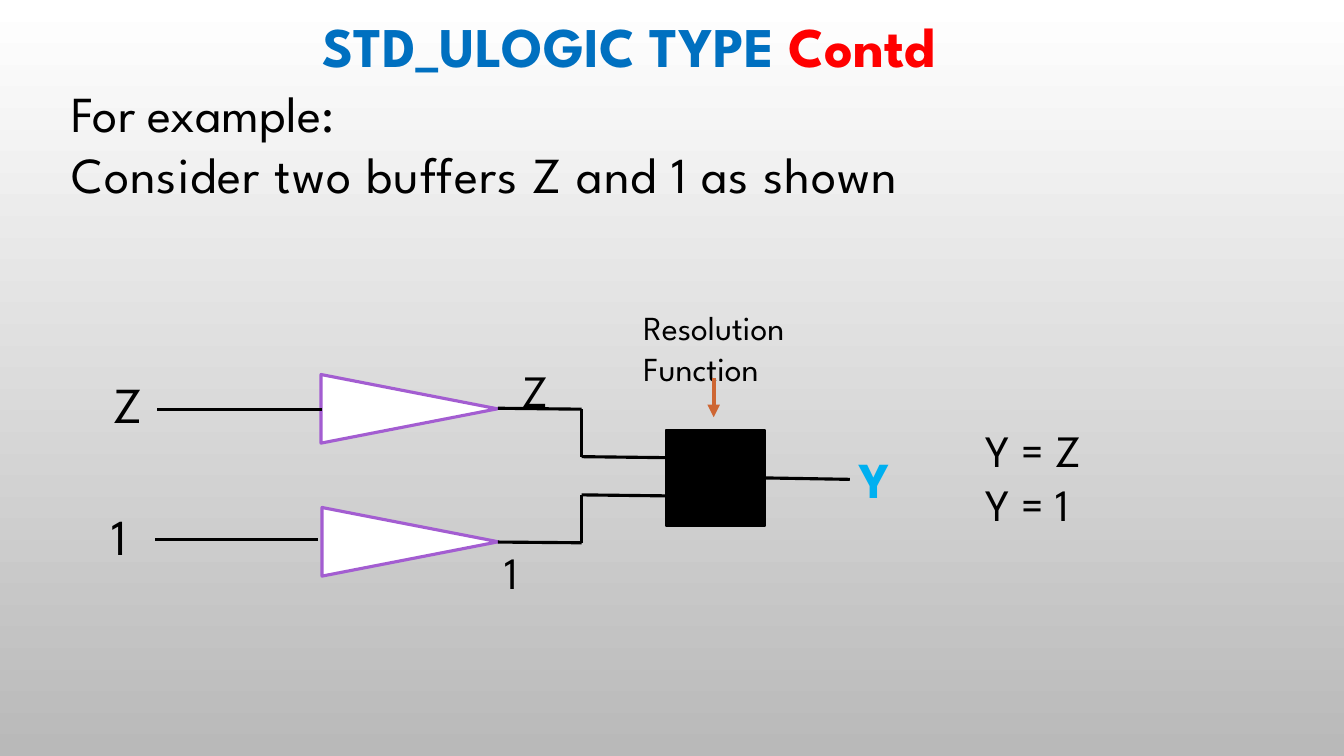
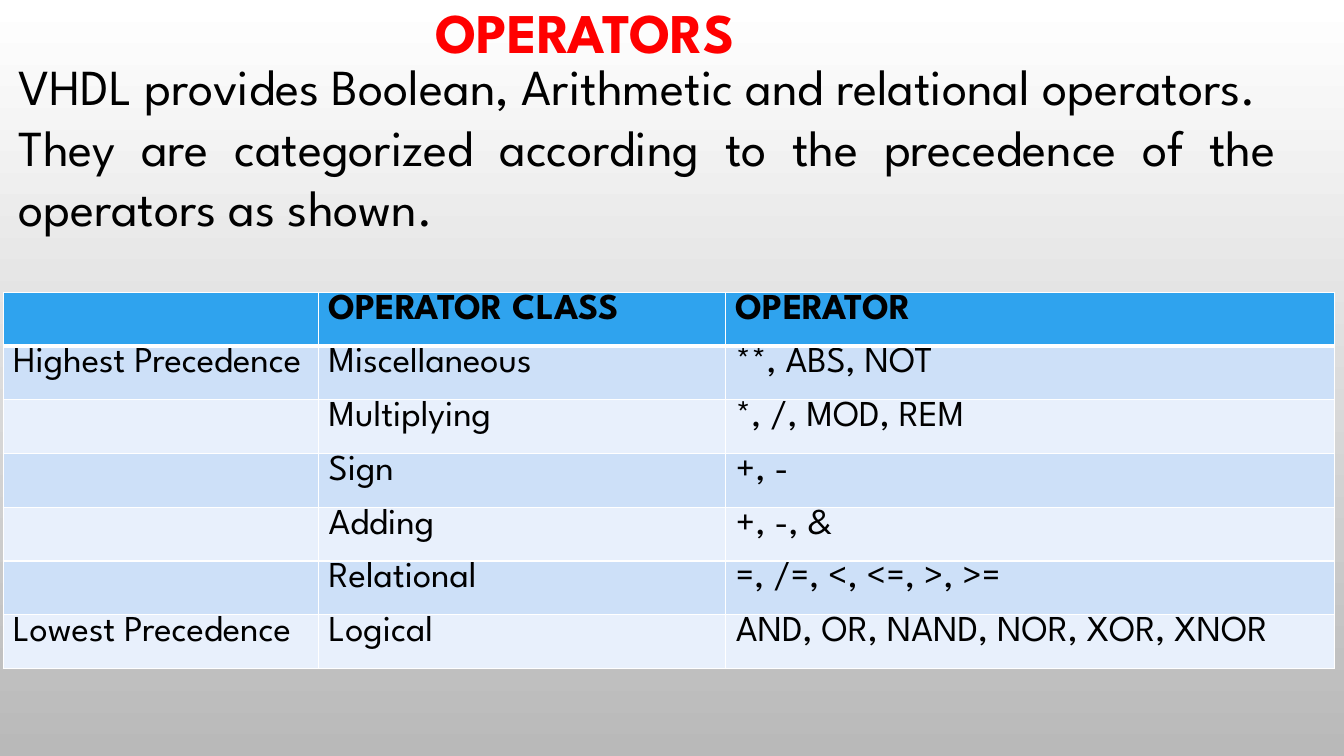
from dataclasses import dataclass
from itertools import pairwise
from lxml.etree import SubElement as Sub
from pptx import Presentation
from pptx.dml.color import RGBColor
from pptx.enum.shapes import MSO_CONNECTOR as Conn, MSO_SHAPE as Form
from pptx.enum.text import MSO_ANCHOR as Anchor, PP_ALIGN as Align
from pptx.oxml.ns import qn
from pptx.util import Pt

FONT = "League Spartan"
BLACK, WHITE, RED = "000000", "FFFFFF", "FF0000"
BLUE, SKY, PURPLE, RUST = "0070C0", "00B0F0", "A35DD1", "CE6633"
HEAD, BANDS = "2FA3EE", ("CDE0F8", "E8F0FC")


@dataclass
class Label:
    """Text in a box at a place."""
    lines: list[str]
    x: float
    y: float
    w: float
    h: float
    size: float = 36
    color: str = BLACK
    bold: bool = False


@dataclass
class Buffer:
    """Buffer triangle with its input wire and output path."""
    x: float
    y: float
    start: tuple[float, float]
    end: tuple[float, float]
    route: list[tuple[float, float]]


LABELS = [
    Label(["Z"], 74.2, 262.8, 38.2, 51),
    Label(["1"], 72.7, 357.1, 38.2, 51),
    Label(["Y"], 607, 316.3, 38.2, 51, color=SKY, bold=True),
    Label(["Z"], 365.8, 255.6, 38.2, 46, 32),
    Label(["1"], 353, 385.2, 38.2, 46, 32),
    Label(["Y = Z", "Y = 1"], 697, 298.3, 106, 85, 32),
    Label(["Resolution Function"], 452.5, 216, 141.8, 65.5, 24),
]
BUFFERS = [
    Buffer(229.3, 267.5, (112.3, 292.3), (229.7, 292.3),
           [(355.7, 291.6), (415.4, 292.3), (415.4, 326.2), (475.4, 326.9)]),
    Buffer(230, 362.5, (110.9, 385.2), (227.5, 385.2),
           [(355.7, 387.2), (415.4, 387.7), (415.4, 353.5), (475.4, 354.2)]),
]
ROWS = [
    ("", "OPERATOR CLASS", "OPERATOR"),
    ("Highest Precedence", "Miscellaneous", "**, ABS, NOT"),
    ("", "Multiplying", "*, /, MOD, REM"),
    ("", "Sign", "+, -"),
    ("", "Adding", "+, -, &"),
    ("", "Relational", "=, /=, <, <=, >, >="),
    ("Lowest Precedence", "Logical", "AND, OR, NAND, NOR, XOR, XNOR"),
]


def rgb(code: str) -> RGBColor:
    """Turn a hex string into a colour."""
    return RGBColor.from_string(code)


def style(run, size: float, color: str = BLACK, bold: bool = False) -> None:
    """Format one run."""
    font = run.font
    font.name, font.size, font.bold = FONT, Pt(size), bold
    font.color.rgb = rgb(color)


def title(slide, parts: list[tuple[str, str]], x: float, y: float, w: float) -> None:
    """Place the title and colour its parts."""
    box = slide.shapes.title
    box.left, box.top, box.width, box.height = Pt(x), Pt(y), Pt(w), Pt(58.3)
    frame = box.text_frame
    frame.word_wrap, frame.vertical_anchor = True, Anchor.TOP
    para = frame.paragraphs[0]
    para.alignment, para.line_spacing = Align.LEFT, 1.07
    for text, color in parts:
        run = para.add_run()
        run.text = text
        style(run, 40, color, True)


def write(slide, label: Label):
    """Add a text box and return its frame."""
    box = slide.shapes.add_textbox(Pt(label.x), Pt(label.y), Pt(label.w), Pt(label.h))
    frame = box.text_frame
    frame.word_wrap = True
    frame.text = "\n".join(label.lines)
    for para in frame.paragraphs:
        style(para.runs[0], label.size, label.color, label.bold)
    return frame


def body(slide, lines: list[str], y: float, h: float, left: float, right: float):
    """Add justified text across the slide."""
    frame = write(slide, Label(lines, 0, y, 960, h))
    frame.margin_left, frame.margin_right = Pt(left), Pt(right)
    for para in frame.paragraphs:
        para.alignment = Align.JUSTIFY
    return frame


def wire(slide, start: tuple[float, float], end: tuple[float, float],
         color: str = BLACK, width: float = 2.25):
    """Draw a straight line."""
    line = slide.shapes.add_connector(Conn.STRAIGHT, *map(Pt, start + end))
    line.line.color.rgb, line.line.width = rgb(color), Pt(width)
    Sub(line._element.spPr, qn("a:effectLst"))
    return line


def block(slide, form: Form, x: float, y: float, w: float, h: float,
          fill: str, edge: str, width: float):
    """Draw a filled shape."""
    shape = slide.shapes.add_shape(form, Pt(x), Pt(y), Pt(w), Pt(h))
    shape.shadow.inherit = False
    shape.fill.solid()
    shape.fill.fore_color.rgb = rgb(fill)
    shape.line.color.rgb, shape.line.width = rgb(edge), Pt(width)
    return shape


def circuit(slide) -> None:
    """Draw the two buffers and the resolver."""
    wide, tall = 126, 49
    for buf in BUFFERS:
        gate = block(slide, Form.ISOSCELES_TRIANGLE, buf.x + (wide - tall) / 2,
                     buf.y - (wide - tall) / 2, tall, wide, WHITE, PURPLE, 2.25)
        gate.rotation = 90
        wire(slide, buf.start, buf.end)
        for start, end in pairwise(buf.route):
            wire(slide, start, end)
    node = block(slide, Form.RECTANGLE, 475.9, 307, 70.6, 68.8, BLACK, BLACK, 1.25)
    wire(slide, (546.5, 341.4), (607, 342.4)).begin_connect(node, 3)
    for label in LABELS:
        write(slide, label)
    arrow = wire(slide, (509.8, 270), (509.8, 298), RUST, 3)
    Sub(arrow.line._get_or_add_ln(), qn("a:tailEnd"), type="triangle")


def border(cell, base: float) -> None:
    """Give a cell white borders."""
    props = cell._tc.get_or_add_tcPr()
    for side, width in zip("LRTB", (1, 1, 1, base)):
        edge = Sub(props, qn(f"a:ln{side}"), w=str(Pt(width)))
        Sub(Sub(edge, qn("a:solidFill")), qn("a:srgbClr"), val=WHITE)


def grid(slide) -> None:
    """Draw the operator table."""
    high = 38.4
    table = slide.shapes.add_table(len(ROWS), 3, Pt(2.2), Pt(208.8),
                                   Pt(951.1), Pt(high * len(ROWS))).table
    for col, width in zip(table.columns, (225.4, 290.9, 434.8)):
        col.width = Pt(width)
    for i, texts in enumerate(ROWS):
        table.rows[i].height = Pt(high)
        for j, text in enumerate(texts):
            cell = table.cell(i, j)
            border(cell, 1 if i else 3)
            cell.fill.solid()
            cell.fill.fore_color.rgb = rgb(BANDS[(i - 1) % 2] if i else HEAD)
            cell.margin_left = cell.margin_right = Pt(7.2)
            cell.margin_top, cell.margin_bottom = Pt(1), 0
            if text:
                cell.text_frame.text = text
                style(cell.text_frame.paragraphs[0].runs[0], 26, bold=i == 0)


def main() -> None:
    """Build and save the deck."""
    deck = Presentation()
    deck.slide_width, deck.slide_height = Pt(960), Pt(540)
    back = deck.slide_master.background.fill
    back.gradient()
    back.gradient_angle = 270
    for stop, color in zip(back.gradient_stops, (WHITE, "B9B9B9")):
        stop.color.rgb = rgb(color)
    layout = deck.slide_layouts[5]

    logic = deck.slides.add_slide(layout)
    title(logic, [("STD_ULOGIC TYPE ", BLUE), ("Contd", RED)], 223.2, 1.4, 517)
    frame = body(logic, ["For example:", "Consider two buffers Z and 1 as shown"],
                 55.4, 128, 51, 7.2)
    frame.paragraphs[1].runs[0].font._element.set("spc", "80")
    circuit(logic)

    ops = deck.slides.add_slide(layout)
    title(ops, [("OPERATORS", RED)], 303.8, -8.6, 283)
    body(ops, ["VHDL provides Boolean, Arithmetic and relational operators.",
               "They are categorized according to the precedence of the "
               "operators as shown."], 36, 140, 13, 48)
    grid(ops)
    deck.save("out.pptx")


if __name__ == "__main__":
    main()
